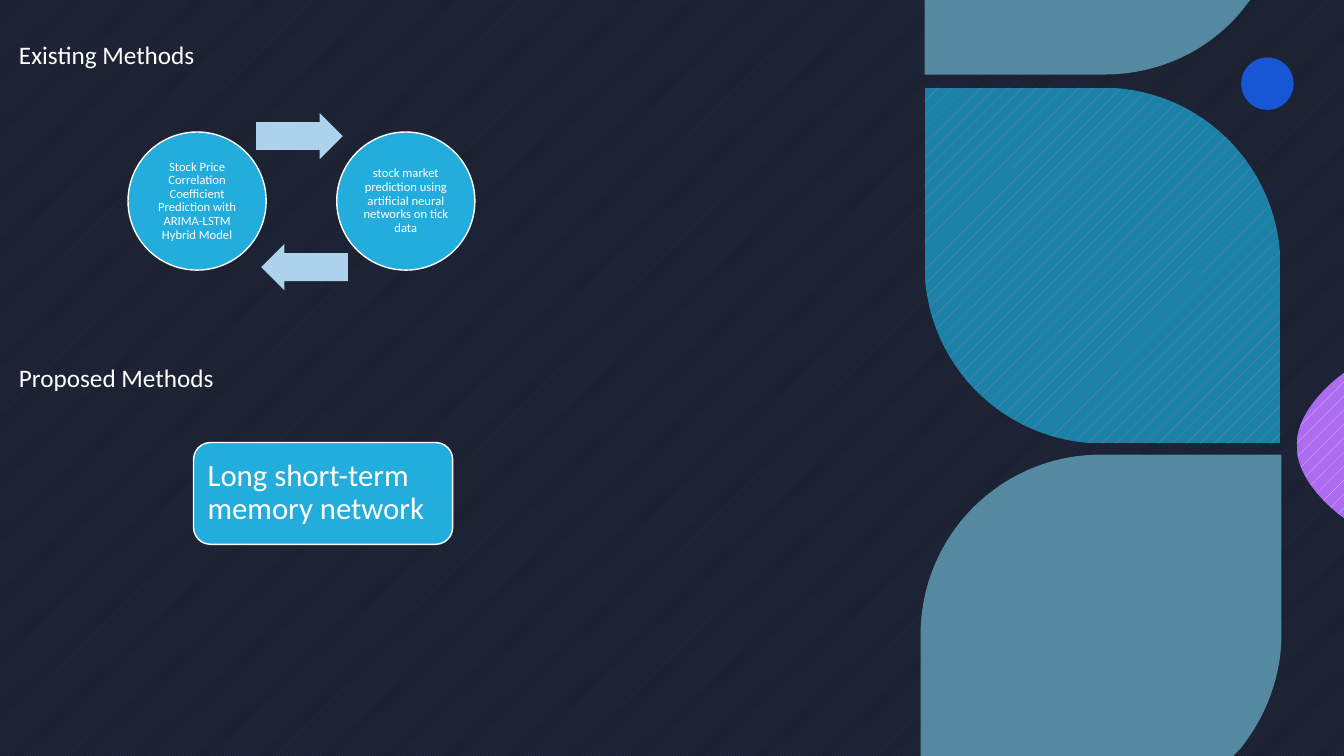
from pptx import Presentation
from pptx.dml.color import RGBColor
from pptx.enum.dml import MSO_PATTERN as Pattern
from pptx.enum.shapes import MSO_SHAPE as Preset
from pptx.enum.text import MSO_ANCHOR as Anchor, PP_ALIGN as Align
from pptx.oxml.ns import qn
from pptx.util import Inches, Pt
from lxml import etree

# Content
HEADINGS = [("Existing Methods", 0.34), ("Proposed Methods", 3.55)]
EXISTING_METHODS = [
    "Stock Price Correlation Coefficient Prediction with ARIMA-LSTM Hybrid Model",
    "stock market prediction using artificial neural networks on tick data",
]
PROPOSED_METHOD = "Long short-term memory network"
CYCLE_ARROWS = [(2.54, 1.12, 0), (2.59, 2.42, 180)]  # left, top, rotation

FONT, WHITE, CYAN, PALE_BLUE = "Calibri", "FFFFFF", "23ADDC", "ACD3EB"
LEAF_BLUE, LEAF_ALPHA = "7BCEEA", 60
WIDTH, HEIGHT = 13.33, 7.5

# Decorative leaves: a point is a straight step, six numbers are a curve
TOP_LEAF = [(9.17, 0), (12.4, 0), (12.33, 0.09),
            (12.01, 0.49, 11.51, 0.74, 10.95, 0.74), (9.17, 0.74)]
BOTTOM_LEAF = [(10.92, 4.51), (12.71, 4.51), (12.71, 6.29),
               (12.71, 6.72, 12.55, 7.12, 12.3, 7.43), (12.23, 7.5),
               (9.13, 7.5), (9.13, 6.3), (9.13, 5.31, 9.93, 4.51, 10.92, 4.51)]
EDGE_LEAF = [(13.33, 3.7), (13.33, 5.14),
             (13.33, 5.14, 12.86, 4.82, 12.86, 4.42),
             (12.86, 4.02, 13.33, 3.7, 13.33, 3.7)]
MIDDLE_LEAF = [(12.7, 4.4), (10.94, 4.4),
               (9.96, 4.4, 9.17, 3.61, 9.17, 2.63), (9.17, 0.87), (10.94, 0.87),
               (11.91, 0.87, 12.7, 1.66, 12.7, 2.64)]

prs = Presentation()
prs.slide_width, prs.slide_height = Inches(WIDTH), Inches(HEIGHT)
slide = prs.slides.add_slide(prs.slide_layouts[6])


def color(hex_code):
    return RGBColor.from_string(hex_code)


def pattern_fill(fill, pattern, front, back):
    fill.patterned()
    fill.pattern = pattern
    fill.fore_color.rgb, fill.back_color.rgb = color(front), color(back)


def paint(shape, fill, alpha=None, outline=None):
    shape.shadow.inherit = False
    if isinstance(fill, tuple):
        pattern_fill(shape.fill, Pattern.PERCENT_5, *fill)
    else:
        shape.fill.solid()
        shape.fill.fore_color.rgb = color(fill)
    if alpha:
        tint = shape._element.spPr.find(f".//{qn('a:srgbClr')}")
        etree.SubElement(tint, qn("a:alpha")).set("val", str(alpha * 1000))
    if outline:
        shape.line.color.rgb = color(outline)
        shape.line.width = Pt(1)
    else:
        shape.line.fill.background()


def add_preset(preset, left, top, width, height, fill, **style):
    shape = slide.shapes.add_shape(
        preset, Inches(left), Inches(top), Inches(width), Inches(height))
    paint(shape, fill, **style)
    return shape


def add_leaf(outline, fill, alpha=None):
    ends = [(Inches(part[-2]), Inches(part[-1])) for part in outline]
    builder = slide.shapes.build_freeform(*ends[0])
    builder.add_line_segments(ends[1:], close=False)
    leaf = builder.convert_to_shape()
    # Bend the straight steps that carry control points
    steps = list(leaf._element.spPr.iter(qn("a:lnTo")))
    for step, part in zip(steps, outline[1:]):
        if len(part) == 6:
            step.tag = qn("a:cubicBezTo")
            for position, (x, y) in enumerate((part[0:2], part[2:4])):
                control = etree.Element(qn("a:pt"))
                control.set("x", str(Inches(x) - leaf.left))
                control.set("y", str(Inches(y) - leaf.top))
                step.insert(position, control)
    etree.SubElement(steps[-1].getparent(), qn("a:close"))
    paint(leaf, fill, alpha)


def write(shape, text, size, align=Align.LEFT, inset=None, spacing=None):
    frame = shape.text_frame
    frame.word_wrap = True
    if inset is not None:
        frame.vertical_anchor = Anchor.MIDDLE
        frame.margin_left = frame.margin_right = Inches(inset)
        frame.margin_top = frame.margin_bottom = Inches(inset)
    paragraph = frame.paragraphs[0]
    paragraph.text = text
    paragraph.alignment = align
    paragraph.line_spacing = spacing
    paragraph.font.name, paragraph.font.size = FONT, Pt(size)
    paragraph.font.color.rgb = color(WHITE)


# Background and decoration
pattern_fill(slide.background.fill, Pattern.LIGHT_UPWARD_DIAGONAL, "1B2130", "000000")
add_preset(Preset.RECTANGLE, 0, 0, WIDTH, HEIGHT, "425176", alpha=40)
add_preset(Preset.OVAL, 12.31, 0.57, 0.52, 0.52, "1756D5")
add_leaf(TOP_LEAF, LEAF_BLUE, LEAF_ALPHA)
add_leaf(BOTTOM_LEAF, LEAF_BLUE, LEAF_ALPHA)
add_leaf(EDGE_LEAF, ("E4CEFA", "AD6BEF"))
add_leaf(MIDDLE_LEAF, ("AD6BEF", "1A82A5"))

# Section headings
for heading, top in HEADINGS:
    box = slide.shapes.add_textbox(Inches(0.09), Inches(top), Inches(2.56), Inches(0.4))
    write(box, heading, 18)

# Cycle of existing methods
for index, method in enumerate(EXISTING_METHODS):
    circle = add_preset(Preset.OVAL, 1.27 + 2.07 * index, 1.31, 1.37, 1.37,
                        CYAN, outline=WHITE)
    write(circle, method, 9, Align.CENTER, inset=0.01, spacing=0.9)
for left, top, rotation in CYCLE_ARROWS:
    arrow = add_preset(Preset.RIGHT_ARROW, left, top, 0.86, 0.46, PALE_BLUE)
    arrow.adjustments[0], arrow.adjustments[1] = 0.6, 0.5
    arrow.rotation = rotation

# Proposed method
card = add_preset(Preset.ROUNDED_RECTANGLE, 1.92, 4.39, 2.57, 1.01, CYAN, outline=WHITE)
write(card, PROPOSED_METHOD, 22, inset=0.09, spacing=0.9)

prs.save("out.pptx")
